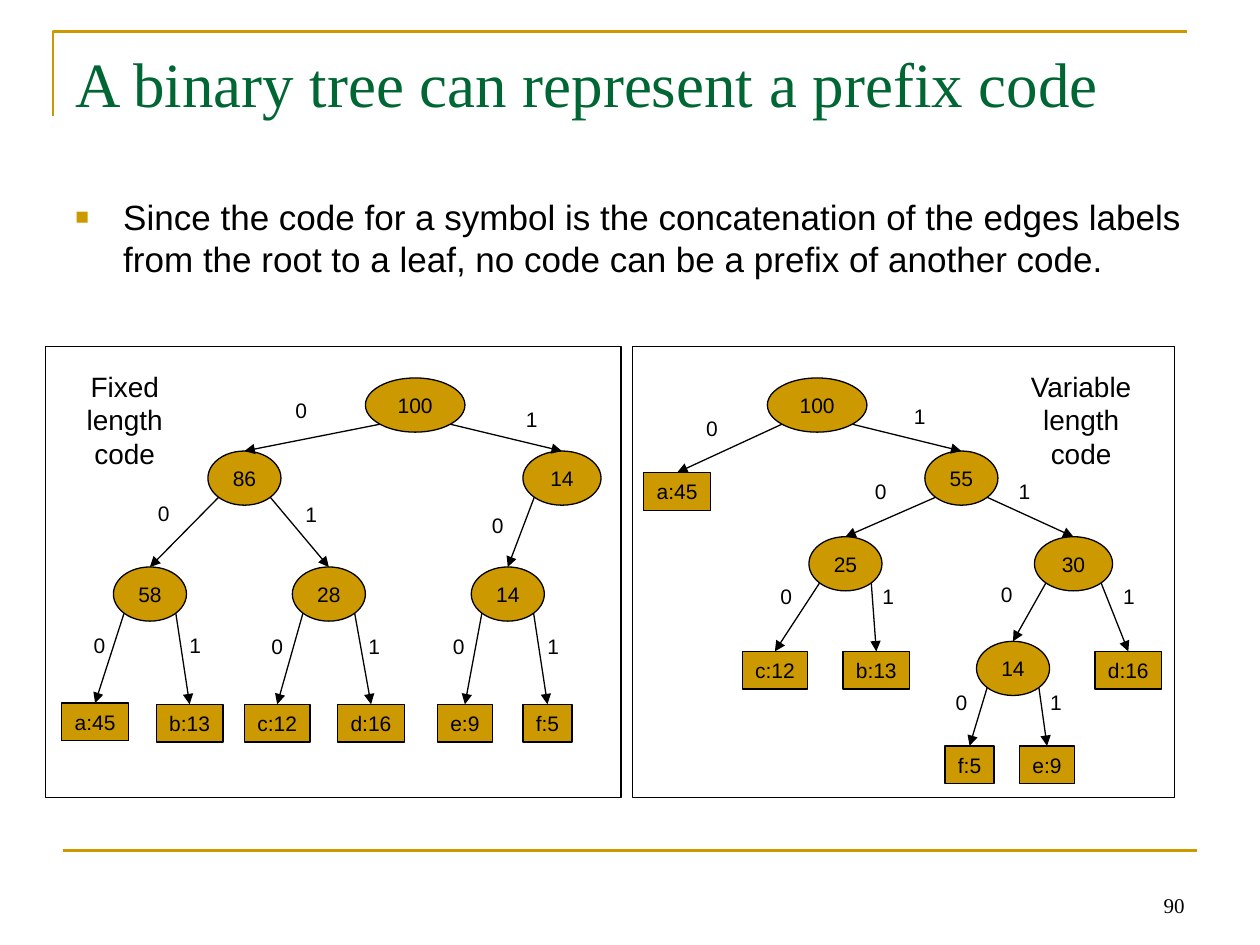
from dataclasses import dataclass

from lxml import etree
from pptx import Presentation
from pptx import util as u
from pptx.dml.color import RGBColor
from pptx.enum import shapes, text
from pptx.oxml.ns import qn

PX = 9144  # EMU per px, at 100 px to the inch


@dataclass(frozen=True)
class Theme:
    gold: str = "CC9900"
    green: str = "006633"
    black: str = "000000"
    serif: str = "Times New Roman"
    sans: str = "Arial"
    title: int = 36
    body: int = 20
    caption: int = 16
    small: int = 12
    rule: float = 1.5
    thin: float = 0.75


@dataclass(frozen=True)
class Node:
    label: str
    left: int
    top: int
    width: int
    children: tuple = ()  # (edge bit, bit left, bit top, child node)


def leaf(label, left, top):
    widths = {"c:12": 52, "e:9": 44, "f:5": 39}
    return Node(label, left, top, widths.get(label, 53))


class Canvas:
    OVAL_HEIGHT, LEAF_HEIGHT, BIT_SIZE = 43, 30, 30
    DIAGONAL = 0.146  # inset of an oval's lower diagonal points

    def __init__(self, slide, theme):
        self.slide = slide
        self.theme = theme

    def color(self, value):
        return RGBColor.from_string(value)

    def outline(self, line, color, width):
        line.color.rgb = self.color(color)
        line.width = u.Pt(width)

    def add_words(self, shape, words, size, font=None, color=None,
                  align=text.PP_ALIGN.CENTER, anchor=text.MSO_ANCHOR.TOP, wrap=True):
        frame = shape.text_frame
        frame.word_wrap = wrap
        frame.vertical_anchor = anchor
        paragraph = frame.paragraphs[0]
        paragraph.alignment = align
        run = paragraph.add_run()
        run.text = words
        run.font.size = u.Pt(size)
        run.font.name = font or self.theme.sans
        run.font.color.rgb = self.color(color or self.theme.black)
        return paragraph

    def text_box(self, left, top, width, height, words, size, **style):
        box = self.slide.shapes.add_textbox(left * PX, top * PX, width * PX, height * PX)
        return self.add_words(box, words, size, **style)

    def bullet(self, paragraph, indent):
        properties = paragraph._p.get_or_add_pPr()
        properties.set("marL", str(indent * PX))
        properties.set("indent", str(-indent * PX))
        color = etree.SubElement(properties, qn("a:buClr"))
        etree.SubElement(color, qn("a:srgbClr"), val=self.theme.gold)
        etree.SubElement(properties, qn("a:buSzPct"), val="65000")
        etree.SubElement(properties, qn("a:buFont"), typeface=self.theme.sans)
        etree.SubElement(properties, qn("a:buChar"), char="■")

    def shape(self, kind, left, top, width, height, fill=None):
        shape = self.slide.shapes.add_shape(kind, left * PX, top * PX, width * PX, height * PX)
        shape.shadow.inherit = False
        if fill:
            shape.fill.solid()
            shape.fill.fore_color.rgb = self.color(fill)
        else:
            shape.fill.background()
        self.outline(shape.line, self.theme.black, self.theme.thin)
        return shape

    def polyline(self, start, *points):
        builder = self.slide.shapes.build_freeform(*start, scale=PX)
        builder.add_line_segments(points, close=False)
        shape = builder.convert_to_shape()
        shape.shadow.inherit = False
        shape.fill.background()
        self.outline(shape.line, self.theme.gold, self.theme.rule)

    def line(self, start, end, color, width):
        ends = [round(value * PX) for value in (*start, *end)]
        connector = self.slide.shapes.add_connector(shapes.MSO_CONNECTOR.STRAIGHT, *ends)
        self.outline(connector.line, color, width)
        etree.SubElement(connector._element.spPr, qn("a:effectLst"))
        return connector

    def arrow(self, start, end, target):
        connector = self.line(start, end, self.theme.black, self.theme.thin)
        connector.end_connect(target, 0)
        etree.SubElement(connector.line._get_or_add_ln(), qn("a:tailEnd"), type="triangle")

    def tree(self, node):
        """Draw a node, then its subtrees with their edges and bits."""
        is_leaf = not node.children
        kind = shapes.MSO_SHAPE.RECTANGLE if is_leaf else shapes.MSO_SHAPE.OVAL
        height = self.LEAF_HEIGHT if is_leaf else self.OVAL_HEIGHT
        shape = self.shape(kind, node.left, node.top, node.width, height, self.theme.gold)
        self.add_words(shape, node.label, self.theme.small,
                       anchor=text.MSO_ANCHOR.MIDDLE, wrap=not is_leaf)
        for bit, bit_left, bit_top, child in node.children:
            side = self.DIAGONAL if bit == "0" else 1 - self.DIAGONAL
            start = (node.left + node.width * side, node.top + height * (1 - self.DIAGONAL))
            end = (child.left + child.width / 2, child.top)
            self.arrow(start, end, self.tree(child))
            self.text_box(bit_left, bit_top, self.BIT_SIZE, self.BIT_SIZE, bit,
                          self.theme.small, wrap=False)
        return shape


FIXED_TREE = Node("100", 290, 300, 79, (
    ("0", 224, 311, Node("86", 165, 358, 58, (
        ("0", 115, 392, Node("58", 90, 450, 58, (
            ("0", 64, 497, leaf("a:45", 49, 558)),
            ("1", 140, 497, leaf("b:13", 124, 559))))),
        ("1", 232, 393, Node("28", 232, 450, 58, (
            ("0", 205, 498, leaf("c:12", 194, 559)),
            ("1", 282, 498, leaf("d:16", 268, 559)))))))),
    ("1", 407, 318, Node("14", 415, 358, 62, (
        ("0", 380, 402, Node("14", 374, 450, 58, (
            ("0", 349, 498, leaf("e:9", 347, 559)),
            ("1", 424, 498, leaf("f:5", 415, 559))))),)))))

VARIABLE_TREE = Node("100", 609, 300, 79, (
    ("0", 550, 325, leaf("a:45", 511, 375)),
    ("1", 715, 315, Node("55", 734, 358, 58, (
        ("0", 684, 375, Node("25", 642, 426, 58, (
            ("0", 609, 458, leaf("c:12", 589, 517)),
            ("1", 690, 458, leaf("b:13", 669, 517))))),
        ("1", 798, 375, Node("30", 821, 426, 62, (
            ("0", 784, 457, Node("14", 775, 509, 58, (
                ("0", 748, 542, leaf("f:5", 750, 592)),
                ("1", 823, 542, leaf("e:9", 809, 592))))),
            ("1", 881, 458, leaf("d:16", 869, 517))))))))))

# Each panel: frame left and width, caption left and words, tree
PANELS = (
    (36, 457, 33, "Fixed length code", FIXED_TREE),
    (502, 430, 792, "Variable length code", VARIABLE_TREE),
)


def main():
    presentation = Presentation()
    presentation.slide_width, presentation.slide_height = 1000 * PX, 750 * PX
    theme = Theme()
    canvas = Canvas(presentation.slides.add_slide(presentation.slide_layouts[6]), theme)

    # Gold rules and page number
    canvas.polyline((42, 92), (42, 25), (942, 25))
    canvas.line((50, 675), (950, 675), theme.gold, theme.rule)
    canvas.text_box(717, 683, 233, 50, "90", theme.small, font=theme.serif,
                    align=text.PP_ALIGN.RIGHT, anchor=text.MSO_ANCHOR.BOTTOM)

    # Title and statement
    left = text.PP_ALIGN.LEFT
    canvas.text_box(50, 30, 900, 125, "A binary tree can represent a prefix code",
                    theme.title, font=theme.serif, color=theme.green, align=left)
    statement = canvas.text_box(
        50, 150, 900, 85,
        "Since the code for a symbol is the concatenation of the edges labels "
        "from the root to a leaf, no code can be a prefix of another code.",
        theme.body, align=left)
    canvas.bullet(statement, 38)

    # The two code trees
    for frame_left, frame_width, caption_left, caption, root in PANELS:
        canvas.shape(shapes.MSO_SHAPE.RECTANGLE, frame_left, 275, frame_width, 358)
        canvas.tree(root)
        canvas.text_box(caption_left, 288, 132, 91, caption, theme.caption)

    presentation.save("out.pptx")


if __name__ == "__main__":
    main()
